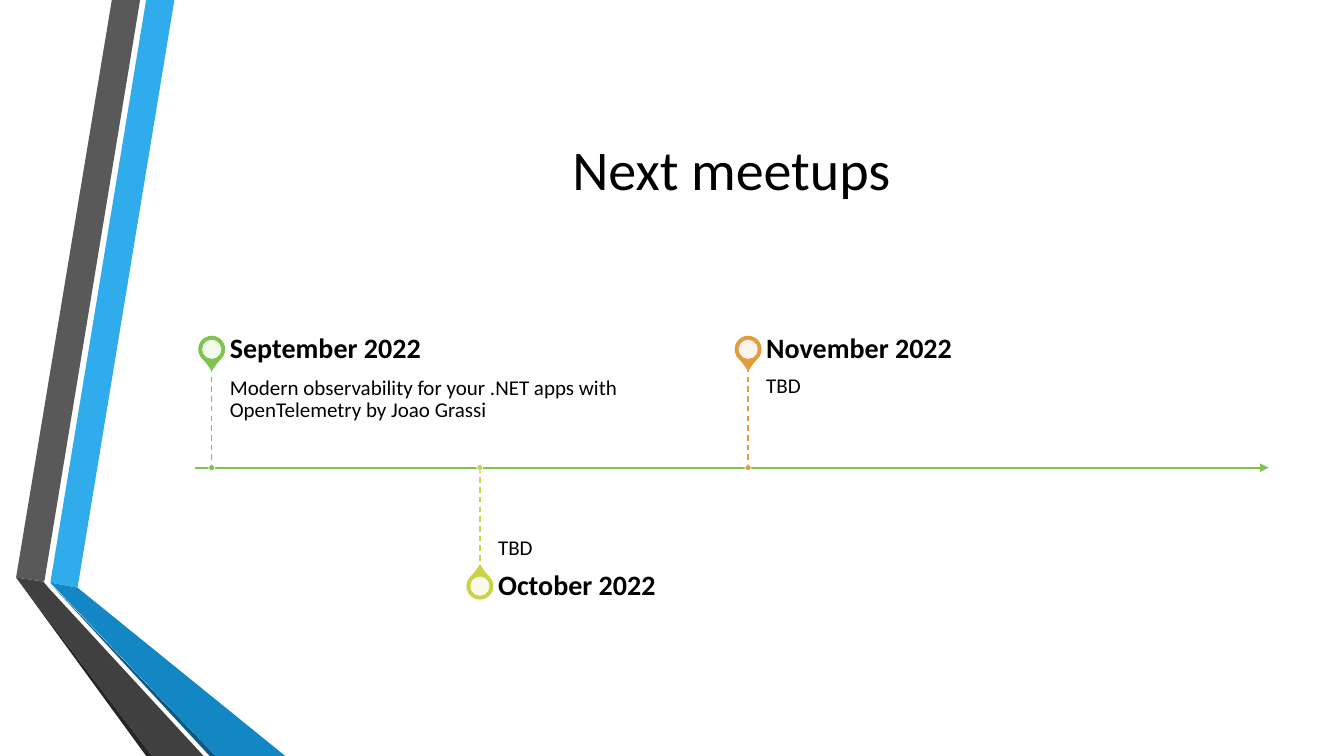
from lxml.etree import SubElement
from pptx import Presentation
from pptx.dml.color import RGBColor
from pptx.enum.dml import MSO_LINE
from pptx.enum.shapes import MSO_CONNECTOR, MSO_SHAPE
from pptx.enum.text import MSO_ANCHOR, PP_ALIGN
from pptx.oxml.ns import qn
from pptx.util import Inches, Pt

# Grid of the slide: 13.33 columns by 7.5 rows
COLS, ROWS = 13.33, 7.5
AXIS_Y, AXIS_LEFT, AXIS_RIGHT = 4.64, 1.93, 12.58
FIRST_STOP, STOP_STEP = 2.1, 2.66
STEM, LABEL_H, LABEL_W, LABEL_GAP = 1, 0.35, 4.43, 0.18
GREEN, LIME, ORANGE = "80C34F", "C8D346", "E29D3E"

RIBBONS = [
    ("30ACEC", [(0.5, 5.78), (0.77, 5.83), (1.73, 0), (1.45, 0)]),
    ("595959", [(1.39, 0), (1.11, 0), (0.16, 5.73), (0.44, 5.77)]),
    ("262626", [(0.16, 5.73), (1.45, 7.5), (1.51, 7.5)]),
    ("0C5A82", [(0.5, 5.79), (2.08, 7.5), (2.14, 7.5)]),
    ("1287C3", [(0.5, 5.78), (2.14, 7.5), (2.83, 7.5), (0.77, 5.83)]),
    ("404040", [(2.02, 7.5), (0.48, 5.83), (0.43, 5.77), (0.16, 5.73), (1.51, 7.5)]),
]
# Month, topic, colour, side of the axis (-1 above, 1 below)
MEETUPS = [
    ("September 2022",
     "Modern observability for your .NET apps with OpenTelemetry by Joao Grassi",
     GREEN, -1),
    ("October 2022", "TBD", LIME, 1),
    ("November 2022", "TBD", ORANGE, -1),
]


def rgb(value):
    return RGBColor.from_string(value)


def set_all(target, values):
    for name, value in values.items():
        setattr(target, name, value)


class Deck:
    def __init__(self):
        self.prs = Presentation()
        self.prs.slide_width, self.prs.slide_height = Inches(COLS), Inches(ROWS)
        self.s = self.prs.slides.add_slide(self.prs.slide_layouts[5])
        self.font, self.ink = "Calibri", "000000"

    def x(self, cols):
        return round(self.prs.slide_width * cols / COLS)

    def y(self, rows):
        return round(self.prs.slide_height * rows / ROWS)

    def box(self, left, top, width, height):
        return self.x(left), self.y(top), self.x(width), self.y(height)

    def fill_text(self, tf, text, size, bold=False, align=PP_ALIGN.LEFT,
                  anchor=MSO_ANCHOR.MIDDLE, spacing=0.9):
        set_all(tf, {"word_wrap": True, "vertical_anchor": anchor})
        p = tf.paragraphs[0]
        set_all(p, {"alignment": align, "line_spacing": spacing})
        r = p.add_run()
        r.text = text
        set_all(r.font, {"name": self.font, "size": Pt(size), "bold": bold})
        r.font.color.rgb = rgb(self.ink)

    def title(self, text, *cell):
        sp = self.s.shapes.title
        set_all(sp, dict(zip(("left", "top", "width", "height"), self.box(*cell))))
        self.fill_text(sp.text_frame, text, 40, align=PP_ALIGN.CENTER)

    def text(self, text, cell, size, insets, **style):
        tf = self.s.shapes.add_textbox(*self.box(*cell)).text_frame
        sides = ("margin_left", "margin_top", "margin_right", "margin_bottom")
        set_all(tf, dict(zip(sides, map(Inches, insets))))
        self.fill_text(tf, text, size, **style)

    def paint(self, sp, fill, line=None, width=0):
        sp.shadow.inherit = False
        sp.fill.solid()
        sp.fill.fore_color.rgb = rgb(fill)
        if line:
            sp.line.color.rgb = rgb(line)
            sp.line.width = Pt(width)
        else:
            sp.line.fill.background()

    def ribbon(self, color, points):
        pts = [(self.x(a), self.y(b)) for a, b in points]
        builder = self.s.shapes.build_freeform(*pts[0])
        builder.add_line_segments(pts[1:], close=True)
        self.paint(builder.convert_to_shape(), color)

    def centred(self, kind, cx, cy, size, fill, line=None, width=0):
        cell = self.box(cx - size / 2, cy - size / 2, size, size)
        sp = self.s.shapes.add_shape(kind, *cell)
        self.paint(sp, fill, line, width)
        return sp

    def pin(self, cx, cy, color, side):
        drop = self.centred(MSO_SHAPE.TEAR, cx, cy, 0.25, color, color, 1.25)
        drop.adjustments[0] = 1.15
        drop.rotation = 135 if side < 0 else 315
        hole = self.centred(MSO_SHAPE.OVAL, cx, cy, 0.19, "FFFFFF")
        clr = hole._element.spPr.find(qn("a:solidFill")).find(qn("a:srgbClr"))
        SubElement(clr, qn("a:alpha"), val="90000")

    def line(self, x1, y1, x2, y2, color, width, dash=None, arrow=False):
        cn = self.s.shapes.add_connector(MSO_CONNECTOR.STRAIGHT, self.x(x1),
                                         self.y(y1), self.x(x2), self.y(y2))
        cn.line.color.rgb = rgb(color)
        set_all(cn.line, {"width": Pt(width), "dash_style": dash})
        spPr = cn._element.spPr
        if arrow:
            SubElement(spPr.find(qn("a:ln")), qn("a:tailEnd"), type="triangle")
        SubElement(spPr, qn("a:effectLst"))

    def meetup(self, x, month, topic, color, side):
        above = side < 0
        end = AXIS_Y + side * STEM
        left = x + LABEL_GAP
        label_top = end - LABEL_H if above else end
        self.pin(x, label_top + LABEL_H / 2, color, side)
        self.text(topic, (left, min(end, AXIS_Y), LABEL_W, STEM), 15,
                  (0, 0.1, 0.1, 0.16) if above else (0, 0.16, 0, 0.1),
                  anchor=MSO_ANCHOR.TOP if above else MSO_ANCHOR.BOTTOM)
        self.text(month, (left, label_top, LABEL_W, LABEL_H), 20,
                  (0, 0, 0.14, 0), bold=True)
        self.line(x, min(end, AXIS_Y), x, max(end, AXIS_Y), color, 1, MSO_LINE.DASH)
        self.centred(MSO_SHAPE.OVAL, x, AXIS_Y, 0.06, color, "FFFFFF", 0.5)


def main():
    deck = Deck()
    # Folded ribbons on the left
    for color, points in RIBBONS:
        deck.ribbon(color, points)
    # Title
    deck.title("Next meetups", AXIS_LEFT, 0.75, AXIS_RIGHT - AXIS_LEFT, 1.92)
    # Timeline
    deck.line(AXIS_LEFT, AXIS_Y, AXIS_RIGHT, AXIS_Y, GREEN, 1.5, arrow=True)
    for i, meetup in enumerate(MEETUPS):
        deck.meetup(FIRST_STOP + i * STOP_STEP, *meetup)
    deck.prs.save("out.pptx")


if __name__ == "__main__":
    main()
